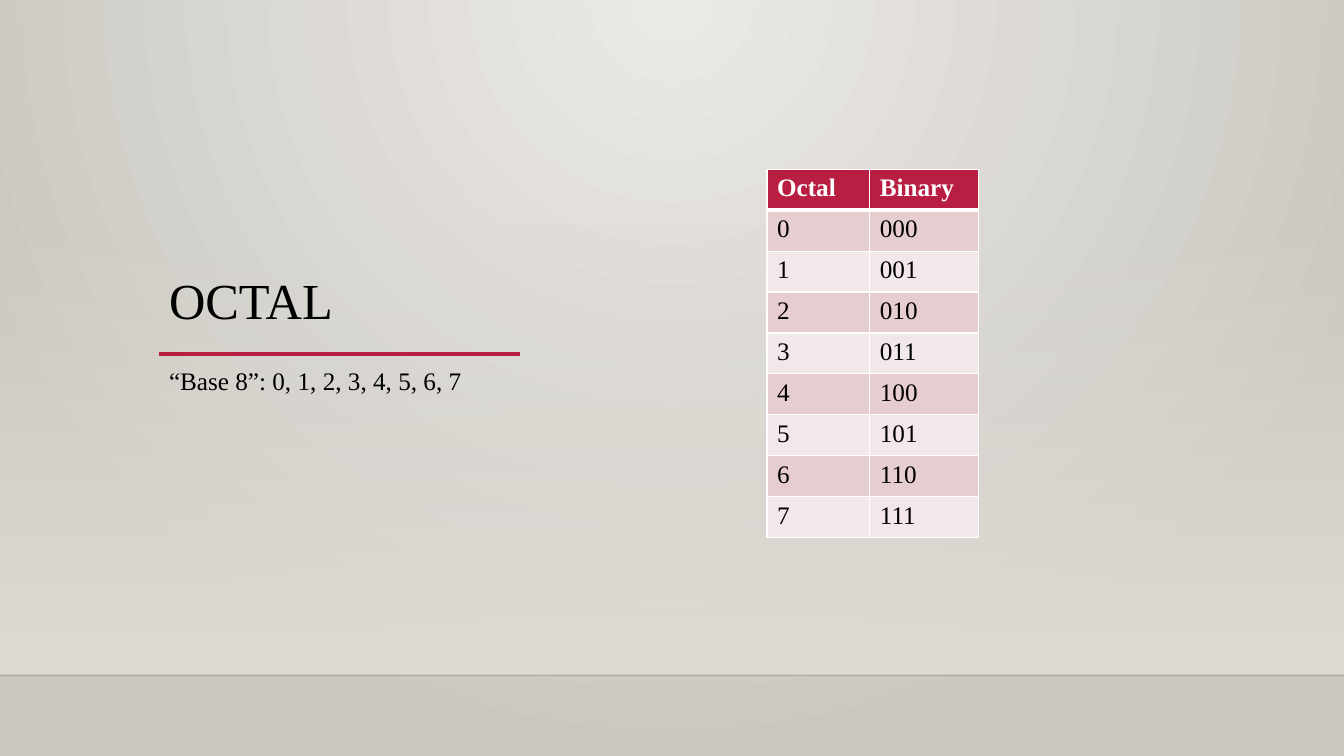
import lxml.etree
import pptx
import pptx.dml.color
import pptx.enum.shapes
import pptx.enum.text
import pptx.oxml.ns
import pptx.util

Cm = pptx.util.Cm
Pt = pptx.util.Pt
qn = pptx.oxml.ns.qn

FONT = "Times New Roman"
TITLE = "OCTAL"
SUBTITLE = "“Base 8”: 0, 1, 2, 3, 4, 5, 6, 7"
HEADER = ("Octal", "Binary")
ROWS = [HEADER] + [(str(digit), f"{digit:03b}") for digit in range(8)]

COLORS = {
    "glow": "ECEAE7",
    "edge": "CAC7C1",
    "wall": "DFDBD5",
    "floor_line": "000001",
    "accent": "B71E42",
    "band_dark": "E6CDCF",
    "band_light": "F3E8E9",
    "text": "000000",
    "white": "FFFFFF",
}

PAGE_WIDTH, PAGE_HEIGHT = 33.87, 19.05
WALL_TOP, FLOOR = 5.61, 17.02
LEFT, TEXT_WIDTH, TEXT_HEIGHT = 4.01, 9.09, 6.25
TITLE_TOP, RULE_TOP = 2.21, 8.92
TABLE_LEFT, TABLE_TOP = 19.33, 4.27
COLUMN_WIDTHS, ROW_HEIGHT = (2.59, 2.74), 1.03


def color(name):
    return pptx.dml.color.RGBColor.from_string(COLORS[name])


def add_alpha(element, percent):
    for rgb in element.iter(qn("a:srgbClr")):
        lxml.etree.SubElement(rgb, qn("a:alpha"), val=str(percent * 1000))


def set_gradient(fill, names):
    fill.gradient()
    for stop, position, name in zip(fill.gradient_stops, (0, 1), names):
        stop.position = position
        stop.color.rgb = color(name)


def paint_background(page):
    set_gradient(page.background.fill, ("glow", "edge"))
    gradient = next(page.element.iter(qn("a:gradFill")))
    gradient.remove(gradient.find(qn("a:lin")))
    path = lxml.etree.SubElement(gradient, qn("a:path"), attrib={"path": "circle"})
    lxml.etree.SubElement(
        path, qn("a:fillToRect"), l="43000", t="0", r="43000", b="100000"
    )


def add_wall(page):
    wall = page.shapes.add_shape(
        pptx.enum.shapes.MSO_SHAPE.RECTANGLE,
        Cm(0), Cm(WALL_TOP), Cm(PAGE_WIDTH), Cm(FLOOR - WALL_TOP),
    )
    wall.shadow.inherit = False
    wall.line.fill.background()
    set_gradient(wall.fill, ("wall", "wall"))
    wall.fill.gradient_angle = 270
    add_alpha(next(wall.element.iter(qn("a:gs"))), 0)


def add_rule(page, left, right, top, name, width):
    rule = page.shapes.add_connector(
        pptx.enum.shapes.MSO_CONNECTOR.STRAIGHT, Cm(left), Cm(top), Cm(right), Cm(top)
    )
    rule.line.color.rgb = color(name)
    rule.line.width = Pt(width)
    lxml.etree.SubElement(rule.element.spPr, qn("a:effectLst"))
    return rule


def add_span(para, text, size, name, bold=False):
    span = para.add_run()
    span.text = text
    span.font.name = FONT
    span.font.size = Pt(size)
    span.font.bold = bold
    span.font.color.rgb = color(name)


def add_text(page, top, text, size, anchor, line_spacing, space_before):
    box = page.shapes.add_textbox(Cm(LEFT), Cm(top), Cm(TEXT_WIDTH), Cm(TEXT_HEIGHT))
    box.text_frame.word_wrap = True
    box.text_frame.vertical_anchor = anchor
    para = box.text_frame.paragraphs[0]
    para.line_spacing = line_spacing
    para.space_before = Pt(space_before)
    add_span(para, text, size, "text")


def add_borders(cell, row):
    widths = {"L": 1, "R": 1, "T": 3 if row == 1 else 1, "B": 3 if row == 0 else 1}
    properties = cell._tc.get_or_add_tcPr()
    for index, (side, width) in enumerate(widths.items()):
        border = lxml.etree.Element(qn(f"a:ln{side}"), w=str(Pt(width)))
        solid = lxml.etree.SubElement(border, qn("a:solidFill"))
        lxml.etree.SubElement(solid, qn("a:srgbClr"), val=COLORS["white"])
        properties.insert(index, border)


def add_octal_table(page):
    table = page.shapes.add_table(
        len(ROWS), len(HEADER), Cm(TABLE_LEFT), Cm(TABLE_TOP),
        Cm(sum(COLUMN_WIDTHS)), Cm(ROW_HEIGHT * len(ROWS)),
    ).table
    for column, width in zip(table.columns, COLUMN_WIDTHS):
        column.width = Cm(width)
    for row, texts in enumerate(ROWS):
        table.rows[row].height = Cm(ROW_HEIGHT)
        is_header = row == 0
        band = "accent" if is_header else ("band_light", "band_dark")[row % 2]
        for column, text in enumerate(texts):
            cell = table.cell(row, column)
            cell.fill.solid()
            cell.fill.fore_color.rgb = color(band)
            add_borders(cell, row)
            ink = "white" if is_header else "text"
            add_span(cell.text_frame.paragraphs[0], text, 18, ink, is_header)


def main():
    """Build the octal slide."""
    deck = pptx.Presentation()
    deck.slide_width, deck.slide_height = Cm(PAGE_WIDTH), Cm(PAGE_HEIGHT)
    page = deck.slides.add_slide(deck.slide_layouts[6])
    anchors = pptx.enum.text.MSO_ANCHOR
    paint_background(page)
    add_wall(page)
    floor_line = add_rule(page, 0, PAGE_WIDTH, FLOOR, "floor_line", 1)
    add_alpha(floor_line.element, 20)
    add_rule(page, LEFT, LEFT + TEXT_WIDTH, RULE_TOP, "accent", 2.5)
    add_text(page, TITLE_TOP, TITLE, 36, anchors.BOTTOM, 0.9, 0)
    add_octal_table(page)
    add_text(page, RULE_TOP, SUBTITLE, 18, anchors.TOP, 1.2, 10)
    deck.save("out.pptx")


if __name__ == "__main__":
    main()
